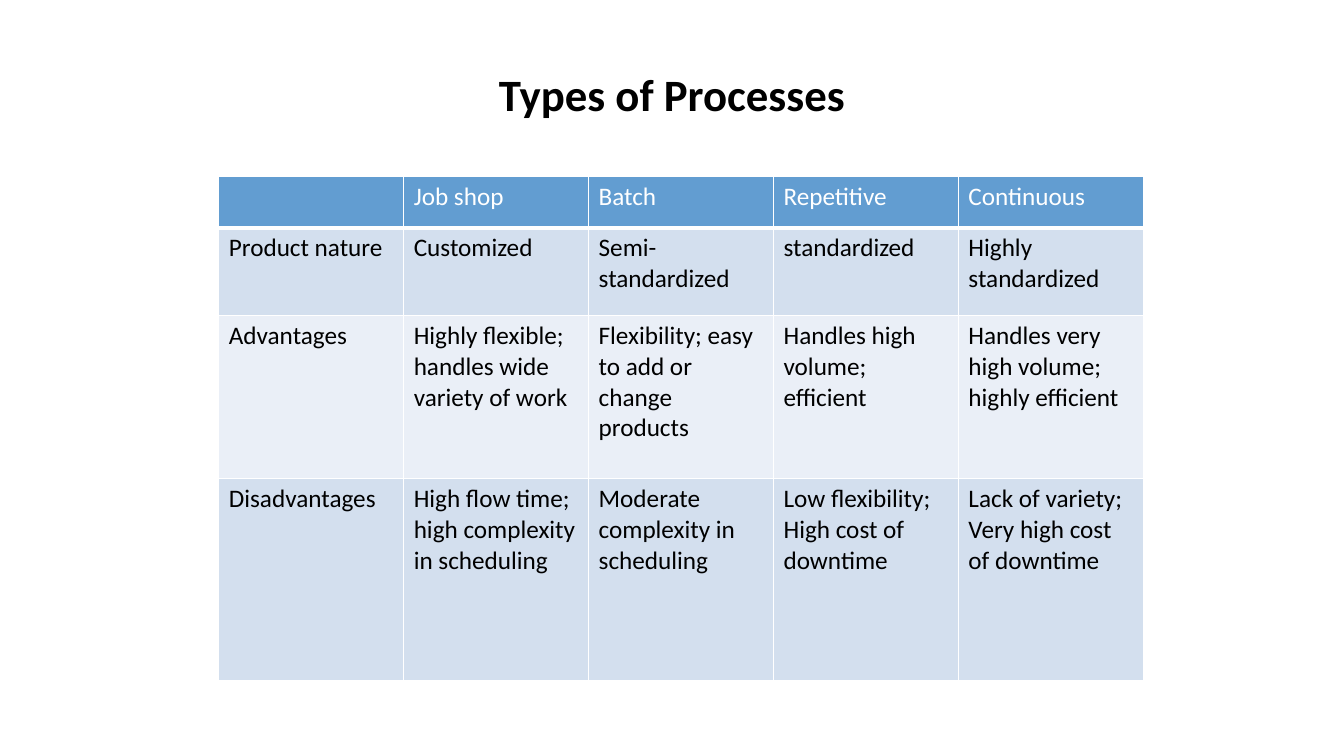
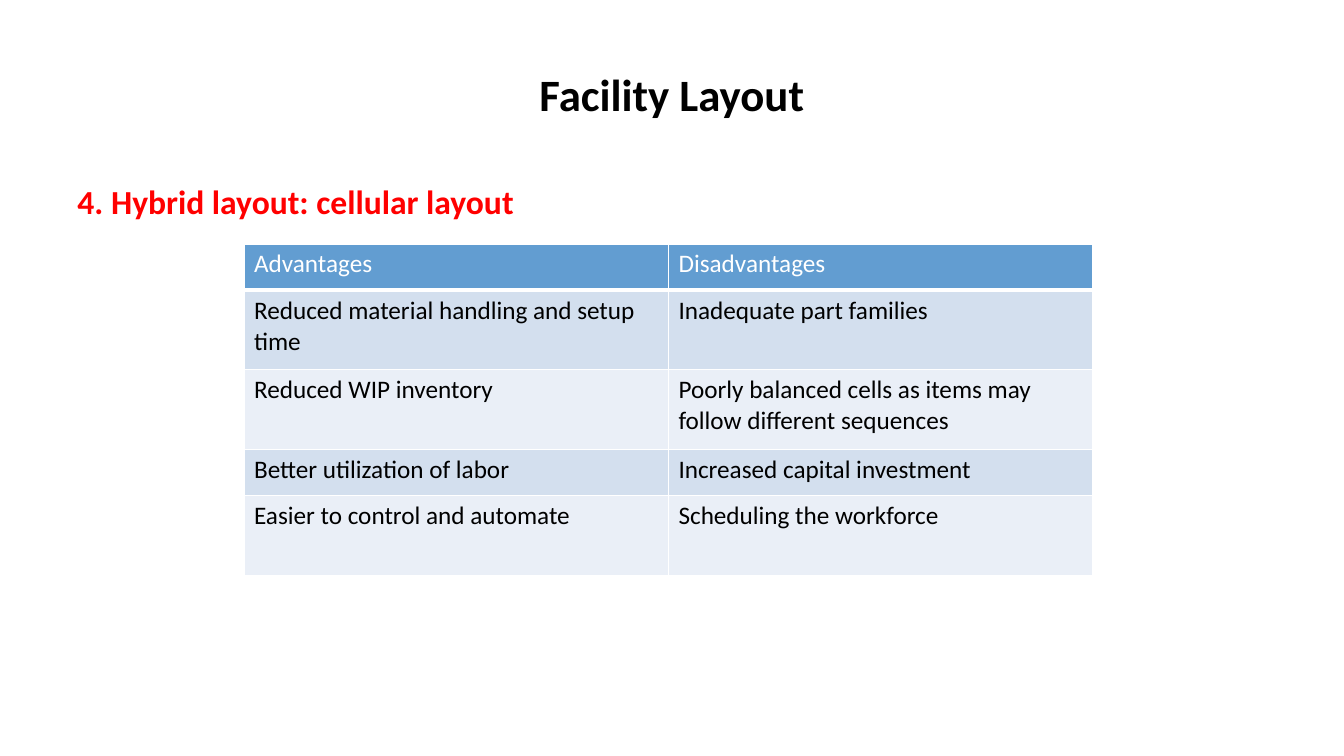
from pptx import Presentation, util as u
from pptx.dml.color import RGBColor
from pptx.enum import text
from lxml import etree

BLACK = RGBColor(0x00, 0x00, 0x00)
WHITE = RGBColor(0xFF, 0xFF, 0xFF)
RED = RGBColor(0xFF, 0x00, 0x00)
HEADER = RGBColor(0x62, 0x9D, 0xD1)
BANDS = (RGBColor(0xD3, 0xDF, 0xEE), RGBColor(0xEA, 0xEF, 0xF7))
FONT = "Calibri"
WIDTH, HEIGHT = 13.33, 7.5
MARGIN, CONTENT_TOP = 0.67, 1.75
DRAWING = "http://schemas.openxmlformats.org/drawingml/2006/main"

SLIDES = [
    {
        "title": "Types of Processes",
        "origin": (2.17, 1.75),
        "width": 9.17,
        "heights": (0.51, 0.87, 1.62, 2),
        "rows": [
            ("", "Job shop", "Batch", "Repetitive", "Continuous"),
            ("Product nature", "Customized", "Semi-standardized",
             "standardized", "Highly standardized"),
            ("Advantages", "Highly flexible; handles wide variety of work",
             "Flexibility; easy to add or change products",
             "Handles high volume; efficient",
             "Handles very high volume; highly efficient"),
            ("Disadvantages", "High flow time; high complexity in scheduling",
             "Moderate complexity in scheduling",
             "Low flexibility;\nHigh cost of downtime",
             "Lack of variety;\nVery high cost of downtime"),
        ],
    },
    {
        "title": "Facility Layout",
        "subtitle": "4. Hybrid layout: cellular layout",
        "origin": (2.42, 2.42),
        "width": 8.42,
        "heights": (0.46, 0.79, 0.79, 0.46, 0.79),
        "rows": [
            ("Advantages", "Disadvantages"),
            ("Reduced material handling and setup time",
             "Inadequate part families"),
            ("Reduced WIP inventory",
             "Poorly balanced cells as items may follow different sequences"),
            ("Better utilization of labor", "Increased capital investment"),
            ("Easier to control and automate", "Scheduling the workforce"),
        ],
    },
]


def write(frame, words, size, color, bold=False, align=text.PP_ALIGN.LEFT):
    frame.text = words
    for paragraph in frame.paragraphs:
        paragraph.alignment = align
        for font in [paragraph.font] + [run.font for run in paragraph.runs]:
            font.name, font.size, font.bold = FONT, u.Pt(size), bold
            font.color.rgb = color


def add_heading(slide, words, top, height, size, color, align, anchor):
    box = slide.shapes.add_textbox(u.Inches(MARGIN), u.Inches(top),
                                   u.Inches(WIDTH - 2 * MARGIN), u.Inches(height))
    frame = box.text_frame
    frame.word_wrap = True
    frame.vertical_anchor = anchor
    write(frame, words, size, color, True, align)


def add_borders(cell, bottom):
    properties = cell._tc.get_or_add_tcPr()
    for side, points in zip("LRTB", (1, 1, 1, bottom)):
        line = etree.SubElement(properties, f"{{{DRAWING}}}ln{side}",
                                w=str(u.Pt(points)))
        fill = etree.SubElement(line, f"{{{DRAWING}}}solidFill")
        etree.SubElement(fill, f"{{{DRAWING}}}srgbClr", val=str(WHITE))


def add_grid(slide, origin, width, heights, rows):
    columns = len(rows[0])
    left, top = origin
    table = slide.shapes.add_table(
        len(rows), columns, u.Inches(left), u.Inches(top),
        u.Inches(width), u.Inches(sum(heights))).table
    for column in table.columns:
        column.width = u.Inches(width / columns)
    for r, (words_in_row, height) in enumerate(zip(rows, heights)):
        table.rows[r].height = u.Inches(height)
        is_header = r == 0
        for c, words in enumerate(words_in_row):
            cell = table.cell(r, c)
            add_borders(cell, 3 if is_header else 1)
            cell.fill.solid()
            cell.fill.fore_color.rgb = HEADER if is_header else BANDS[(r - 1) % 2]
            write(cell.text_frame, words, 18, WHITE if is_header else BLACK)


def main():
    deck = Presentation()
    deck.slide_width, deck.slide_height = u.Inches(WIDTH), u.Inches(HEIGHT)
    for content in SLIDES:
        slide = deck.slides.add_slide(deck.slide_layouts[6])
        add_heading(slide, content["title"], 0.3, 1.25, 32, BLACK,
                    text.PP_ALIGN.CENTER, text.MSO_ANCHOR.MIDDLE)
        if "subtitle" in content:
            add_heading(slide, content["subtitle"], CONTENT_TOP, 4.95, 24, RED,
                        text.PP_ALIGN.LEFT, text.MSO_ANCHOR.TOP)
        add_grid(slide, content["origin"], content["width"],
                 content["heights"], content["rows"])
    deck.save("out.pptx")


if __name__ == "__main__":
    main()
